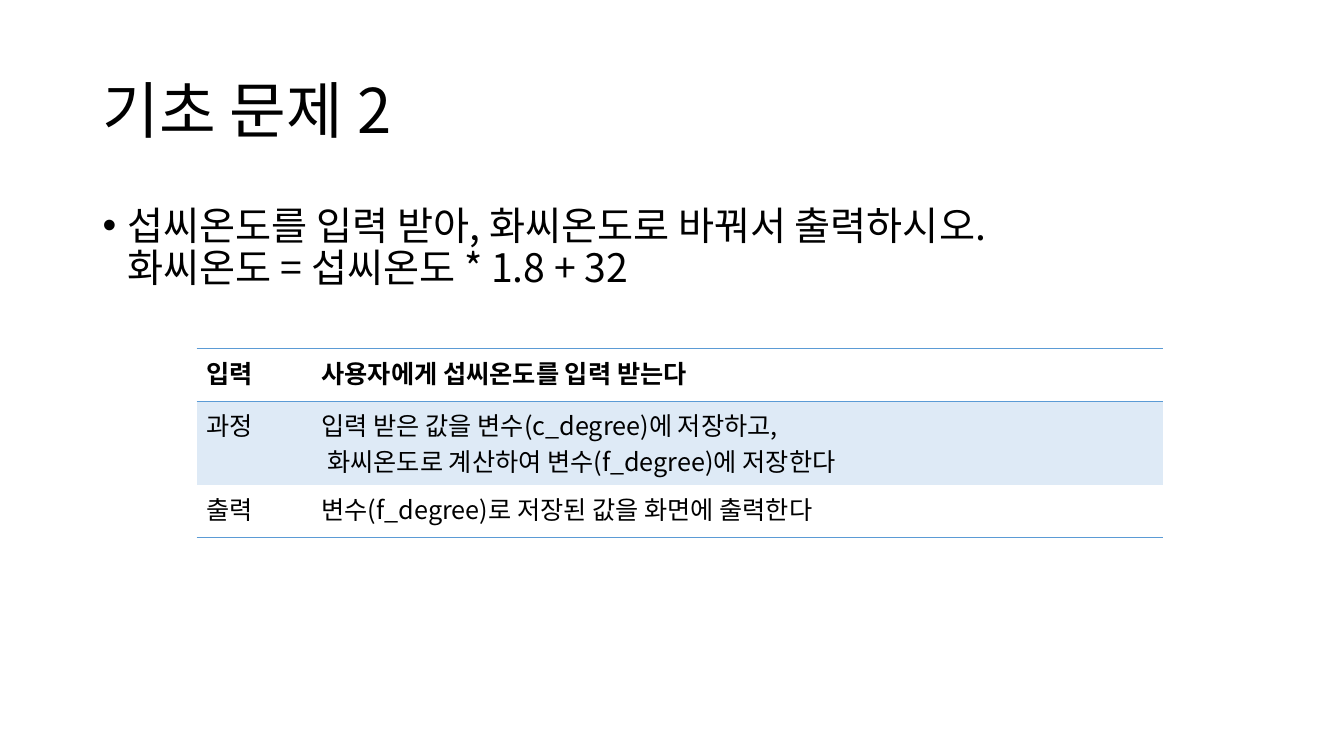
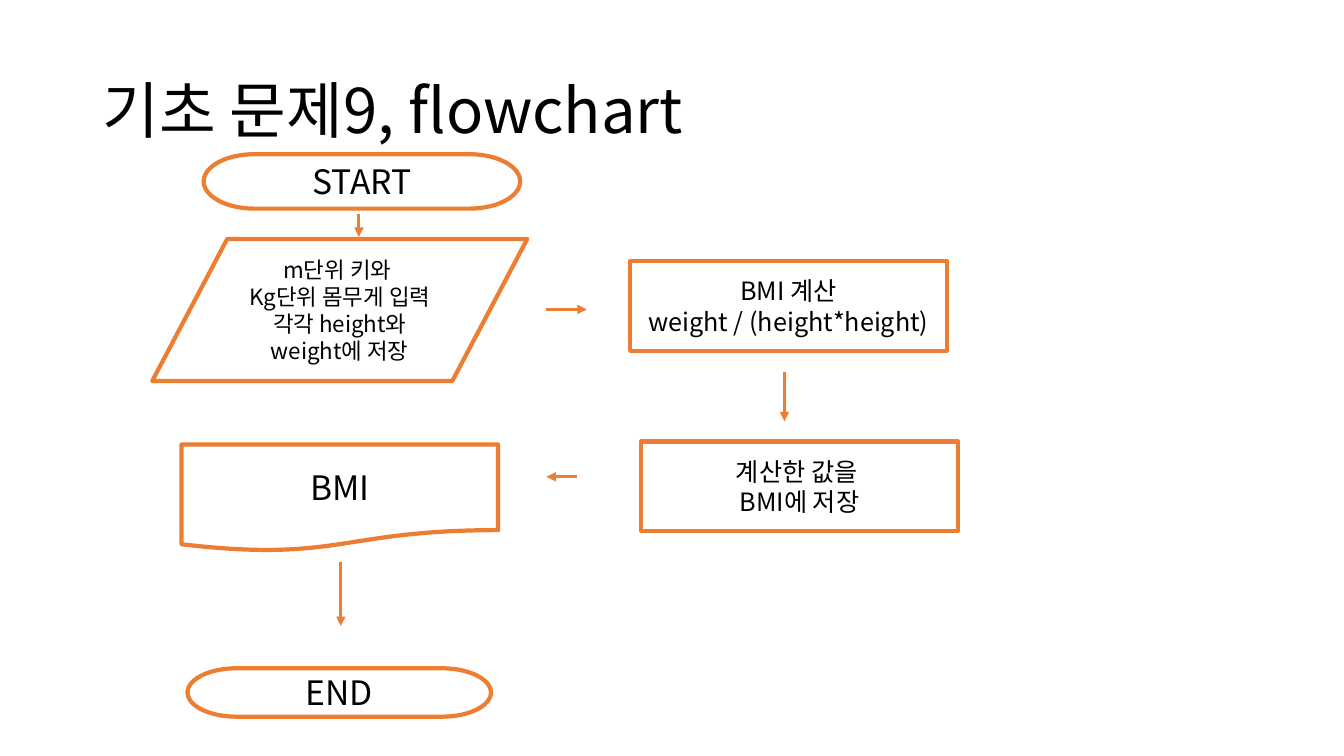
from dataclasses import dataclass

from lxml import etree
from pptx import Presentation
from pptx.dml.color import RGBColor
from pptx.enum.shapes import MSO_CONNECTOR, MSO_SHAPE
from pptx.enum.text import MSO_ANCHOR, PP_ALIGN
from pptx.oxml.ns import qn
from pptx.util import Inches, Pt

FONT = "Noto Sans CJK KR"
BLACK, WHITE, ORANGE, BLUE, PALE_BLUE = "000000", "FFFFFF", "ED7D31", "5B9BD5", "DEEAF6"
TERMINATOR = MSO_SHAPE.FLOWCHART_TERMINATOR
INPUT = MSO_SHAPE.FLOWCHART_DATA
DOCUMENT = MSO_SHAPE.FLOWCHART_DOCUMENT
PROCESS = MSO_SHAPE.RECTANGLE
STRAIGHT = MSO_CONNECTOR.STRAIGHT
CENTER, LEFT = PP_ALIGN.CENTER, PP_ALIGN.LEFT
MIDDLE, TOP = MSO_ANCHOR.MIDDLE, MSO_ANCHOR.TOP
PLAIN_TABLE_STYLE = "{2D5ABB26-0587-4C30-8999-92F81FD0307C}"


@dataclass
class Step:
    kind: int
    left: float
    top: float
    width: float
    height: float
    size: int
    lines: list[str]


@dataclass
class Arrow:
    x1: float
    y1: float
    x2: float
    y2: float


@dataclass
class Row:
    label: str
    lines: list[str]
    height: float
    bold: bool = False
    fill: str | None = None
    top_line: bool = False
    bottom_line: bool = False


ROWS = [
    Row("입력", ["사용자에게 섭씨온도를 입력 받는다"], 0.52, bold=True, top_line=True, bottom_line=True),
    Row("과정", ["입력 받은 값을 변수(c_degree)에 저장하고,",
               " 화씨온도로 계산하여 변수(f_degree)에 저장한다"], 0.83, fill=PALE_BLUE),
    Row("출력", ["변수(f_degree)로 저장된 값을 화면에 출력한다"], 0.52, bottom_line=True),
]

STEPS = [
    Step(TERMINATOR, 2.02, 1.53, 3.14, 0.54, 24, ["START"]),
    Step(INPUT, 1.51, 2.37, 3.72, 1.41, 16,
         ["m단위 키와 ", "Kg단위 몸무게 입력", "각각 height와 weight에 저장"]),
    Step(PROCESS, 6.25, 2.59, 3.14, 0.89, 18, ["BMI 계산", "weight / (height*height)"]),
    Step(PROCESS, 6.36, 4.38, 3.14, 0.89, 18, ["계산한 값을 ", "BMI에 저장"]),
    Step(DOCUMENT, 1.8, 4.41, 3.14, 1.06, 24, ["BMI"]),
    Step(TERMINATOR, 1.86, 6.63, 3.01, 0.48, 24, ["END"]),
]

ARROWS = [
    Arrow(3.56, 2.12, 3.56, 2.35),
    Arrow(5.42, 3.07, 5.82, 3.07),
    Arrow(7.78, 3.69, 7.78, 4.18),
    Arrow(5.72, 4.73, 5.42, 4.73),
    Arrow(3.38, 5.58, 3.38, 6.21),
]


def color(value: str) -> RGBColor:
    return RGBColor.from_string(value)


def write(frame, lines: list[str], size: int, align=LEFT, bold=False, spacing=1.0) -> None:
    """Fill a text frame, one paragraph for each line."""
    frame.word_wrap = True
    formats = {"size": Pt(size), "name": FONT, "bold": bold}
    for index, line in enumerate(lines):
        para = frame.add_paragraph() if index else frame.paragraphs[0]
        para.text = line
        para.alignment = align
        para.line_spacing = spacing
        for span in para.runs:
            for name, value in formats.items():
                setattr(span.font, name, value)
            span.font.color.rgb = color(BLACK)
            etree.SubElement(span.font._element, qn("a:ea"), typeface=FONT)


def add_text(page, top: float, height: float, text: str, size: int, anchor=TOP):
    box = page.shapes.add_textbox(Inches(0.92), Inches(top), Inches(11.5), Inches(height))
    box.text_frame.vertical_anchor = anchor
    write(box.text_frame, [text], size, spacing=0.9)
    return box


def add_page(deck, title: str):
    page = deck.slides.add_slide(deck.slide_layouts[6])
    add_text(page, 0.4, 1.45, title, 44, MIDDLE)
    return page


def add_bullet(para) -> None:
    properties = para._p.get_or_add_pPr()
    properties.set("marL", str(Inches(0.25)))
    properties.set("indent", str(-Inches(0.25)))
    etree.SubElement(properties, qn("a:buFont"), typeface="Arial")
    etree.SubElement(properties, qn("a:buChar"), char="•")


def add_border(cell, side: str) -> None:
    line = etree.SubElement(cell._tc.get_or_add_tcPr(), qn(f"a:{side}"), w=str(Pt(1)))
    fill = etree.SubElement(line, qn("a:solidFill"))
    etree.SubElement(fill, qn("a:srgbClr"), val=BLUE)


def add_rows(page, rows: list[Row]) -> None:
    widths = [1.14, 8.45]
    frame = page.shapes.add_table(len(rows), len(widths), Inches(1.95), Inches(3.46),
                                  Inches(sum(widths)), Inches(sum(row.height for row in rows)))
    table = frame.table
    table.first_row = table.horz_banding = False
    table._tbl.tblPr.find(qn("a:tableStyleId")).text = PLAIN_TABLE_STYLE
    for column, width in zip(table.columns, widths):
        column.width = Inches(width)
    for index, row in enumerate(rows):
        table.rows[index].height = Inches(row.height)
        for column, lines in enumerate([[row.label], row.lines]):
            cell = table.cell(index, column)
            write(cell.text_frame, lines, 18, bold=row.bold)
            if row.top_line:
                add_border(cell, "lnT")
            if row.bottom_line:
                add_border(cell, "lnB")
            if row.fill:
                cell.fill.solid()
                cell.fill.fore_color.rgb = color(row.fill)
            else:
                cell.fill.background()


def add_step(page, step: Step) -> None:
    shape = page.shapes.add_shape(step.kind, Inches(step.left), Inches(step.top),
                                  Inches(step.width), Inches(step.height))
    shape.shadow.inherit = False
    shape.fill.solid()
    shape.fill.fore_color.rgb = color(WHITE)
    shape.line.color.rgb = color(ORANGE)
    shape.line.width = Pt(3)
    shape.text_frame.vertical_anchor = MIDDLE
    write(shape.text_frame, step.lines, step.size, CENTER)


def add_arrow(page, arrow: Arrow) -> None:
    connector = page.shapes.add_connector(STRAIGHT, Inches(arrow.x1), Inches(arrow.y1),
                                          Inches(arrow.x2), Inches(arrow.y2))
    connector.line.color.rgb = color(ORANGE)
    connector.line.width = Pt(2.25)
    etree.SubElement(connector.line._get_or_add_ln(), qn("a:tailEnd"), type="triangle")
    etree.SubElement(connector._element.spPr, qn("a:effectLst"))


def main() -> None:
    deck = Presentation()
    deck.slide_width, deck.slide_height = Inches(13.33), Inches(7.5)

    # Temperature problem
    page = add_page(deck, "기초 문제 2")
    body = add_text(page, 2, 4.76, "섭씨온도를 입력 받아, 화씨온도로 바꿔서 출력하시오. \n"
                                   "화씨온도 = 섭씨온도 * 1.8 + 32", 28)
    add_bullet(body.text_frame.paragraphs[0])
    add_rows(page, ROWS)

    # BMI flowchart
    page = add_page(deck, "기초 문제9, flowchart")
    for step in STEPS:
        add_step(page, step)
    for arrow in ARROWS:
        add_arrow(page, arrow)

    deck.save("out.pptx")


if __name__ == "__main__":
    main()
